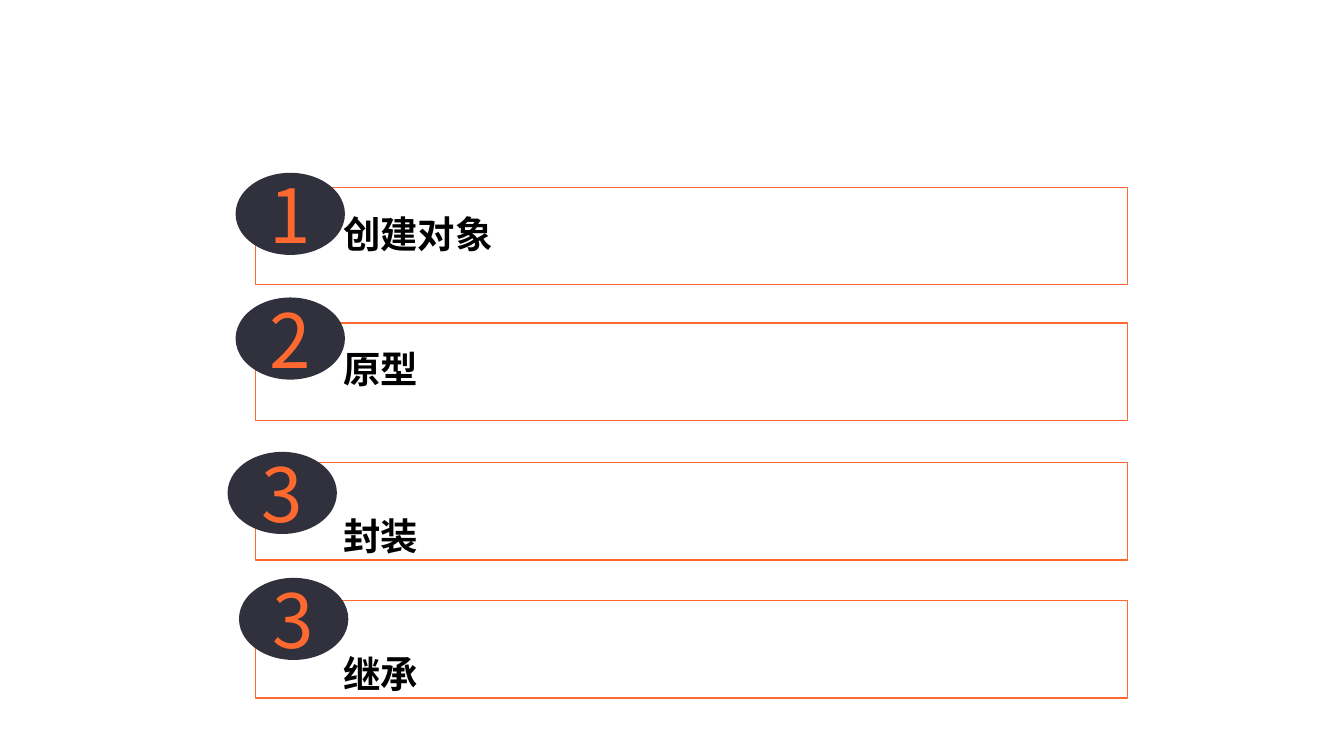
from lxml.etree import SubElement
from pptx import Presentation
from pptx.dml.color import RGBColor
from pptx.enum.shapes import MSO_SHAPE as Preset
from pptx.enum.text import MSO_ANCHOR as Anchor, PP_ALIGN as Align
from pptx.oxml.ns import qn
from pptx.util import Pt

FONT = "Noto Sans CJK SC"
ORANGE, DARK, WHITE, BLACK = "FF682F", "30313C", "FFFFFF", "000000"
BOX_LEFT, BOX_WIDTH, BOX_HEIGHT = 137, 466.9, 52.3
BADGE_WIDTH, BADGE_HEIGHT = 58.6, 44

# number, title, box top, badge left, badge top, title anchor
TOPICS = [
    ("1", "创建对象", 100.3, 126.2, 92.6, Anchor.MIDDLE),
    ("2", "原型", 173, 126.2, 159.4, Anchor.MIDDLE),
    ("3", "封装", 247.8, 121.9, 242.1, Anchor.BOTTOM),
    ("3", "继承", 321.6, 128, 309.6, Anchor.BOTTOM),
]
BOX_FRAME = {"margin_left": Pt(46.8), "margin_right": Pt(6), "word_wrap": True}
TITLE_FONT = {"size": Pt(20), "bold": True}
BADGE_FRAME = {"vertical_anchor": Anchor.MIDDLE, "word_wrap": True}
BADGE_FONT = {"size": Pt(40), "bold": False}


def color(hex_value):
    """Turn a hex string into a colour."""
    return RGBColor.from_string(hex_value)


def apply(target, values):
    """Set every attribute named in a dict."""
    for name, value in values.items():
        setattr(target, name, value)


def add_label(slide, preset, bounds, fill, text, text_color, frame, font, paragraph_format):
    """Add a filled shape that holds one line of text."""
    shape = slide.shapes.add_shape(preset, *map(Pt, bounds))
    shape.shadow.inherit = False
    shape.fill.solid()
    shape.fill.fore_color.rgb = color(fill)
    shape.line.fill.background()
    apply(shape.text_frame, frame)
    paragraph = shape.text_frame.paragraphs[0]
    apply(paragraph, paragraph_format)
    run = paragraph.add_run()
    run.text = text
    apply(run.font, {"name": FONT, **font})
    run.font.color.rgb = color(text_color)
    SubElement(run.font._element, qn("a:ea"), typeface=FONT)
    return shape


def add_box(slide, title, top, anchor):
    """Add an outlined, translucent title box."""
    margins = (6, 6) if anchor == Anchor.MIDDLE else (0, 1)
    frame = {**BOX_FRAME, "vertical_anchor": anchor,
             "margin_top": Pt(margins[0]), "margin_bottom": Pt(margins[1])}
    box = add_label(slide, Preset.RECTANGLE, (BOX_LEFT, top, BOX_WIDTH, BOX_HEIGHT), WHITE,
                    title, BLACK, frame, TITLE_FONT,
                    {"alignment": Align.LEFT, "line_spacing": 0.9})
    box.line.color.rgb = color(ORANGE)
    box.line.width = Pt(0.75)
    fill_color = box._element.spPr.find(qn("a:solidFill")).find(qn("a:srgbClr"))
    SubElement(fill_color, qn("a:alpha"), val="40000")


def main():
    """Build the slide and save it."""
    presentation = Presentation()
    apply(presentation, {"slide_width": Pt(720), "slide_height": Pt(405)})
    slide = presentation.slides.add_slide(presentation.slide_layouts[6])
    for number, title, box_top, badge_left, badge_top, anchor in TOPICS:
        add_box(slide, title, box_top, anchor)
        add_label(slide, Preset.OVAL, (badge_left, badge_top, BADGE_WIDTH, BADGE_HEIGHT), DARK,
                  number, ORANGE, BADGE_FRAME, BADGE_FONT, {"alignment": Align.CENTER})
    presentation.save("out.pptx")


if __name__ == "__main__":
    main()
